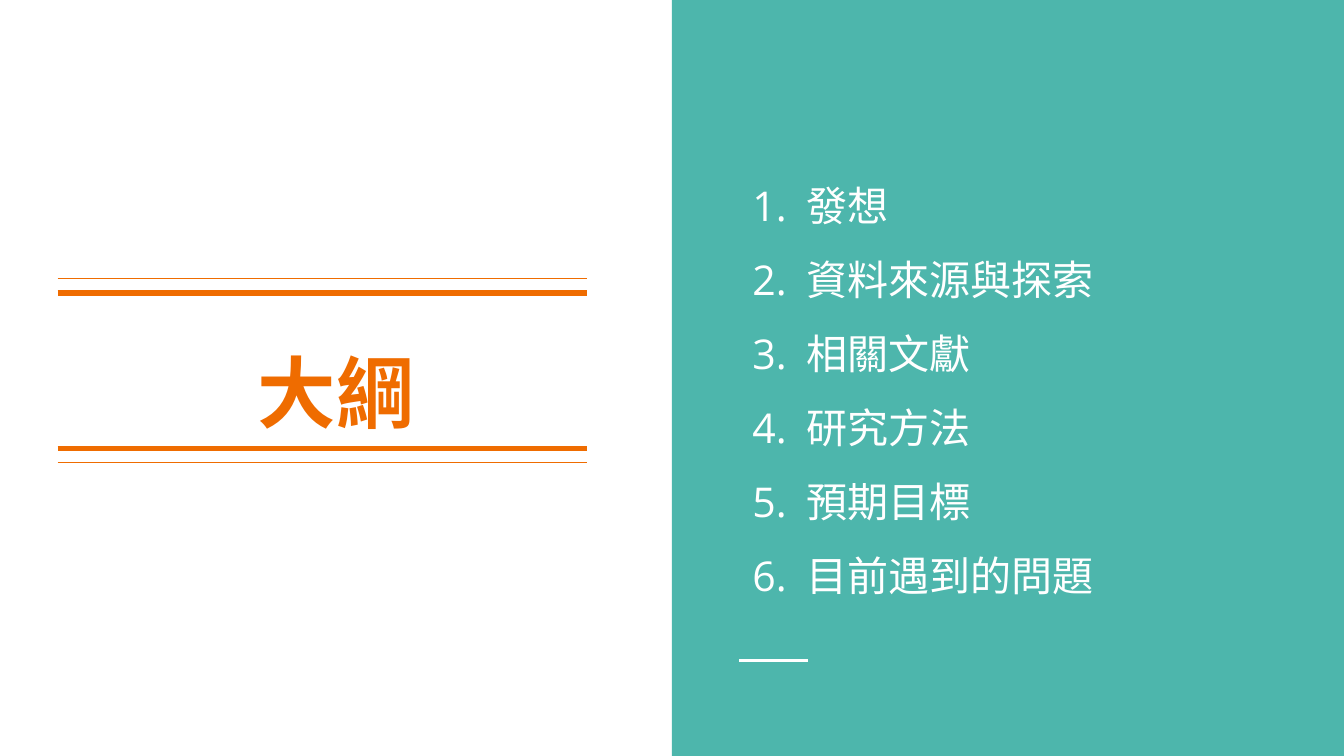
from lxml import etree
from pptx import Presentation
from pptx import util as u
from pptx.dml.color import RGBColor
from pptx.enum import shapes, text
from pptx.oxml.ns import qn

WHITE, TEAL, ORANGE = "FFFFFF", "4DB6AC", "EF6C00"
TOPICS = ["發想", "資料來源與探索", "相關文獻", "研究方法", "預期目標", "目前遇到的問題"]


def colour(value):
    return RGBColor.from_string(value)


def add_rule(slide, left, top, width, line_colour, weight):
    rule = slide.shapes.add_connector(
        shapes.MSO_CONNECTOR.STRAIGHT,
        u.Cm(left), u.Cm(top), u.Cm(left + width), u.Cm(top))
    rule.line.color.rgb = colour(line_colour)
    rule.line.width = u.Pt(weight)
    etree.SubElement(rule._element.spPr, qn("a:effectLst"))


def add_text(slide, box, lines, frame_format, font_format, font_colour):
    """Add a text box with one paragraph per line; return its paragraphs."""
    frame = slide.shapes.add_textbox(*map(u.Cm, box)).text_frame
    margins = dict.fromkeys(
        ("margin_left", "margin_top", "margin_right", "margin_bottom"), u.Cm(0.25))
    for name, value in {"word_wrap": True, **margins, **frame_format}.items():
        setattr(frame, name, value)
    frame.text = "\n".join(lines)
    for paragraph in frame.paragraphs:
        font = paragraph.runs[0].font
        for name, value in font_format.items():
            setattr(font, name, value)
        font.color.rgb = colour(font_colour)
        # East Asian text uses the same typeface
        etree.SubElement(font._element, qn("a:ea"), typeface=font_format["name"])
    return frame.paragraphs


def number_paragraph(paragraph):
    properties = paragraph._p.get_or_add_pPr()
    properties.set("marL", str(u.Cm(1.27)))
    properties.set("indent", str(-u.Cm(1.02)))
    bullet_colour = etree.SubElement(properties, qn("a:buClr"))
    etree.SubElement(bullet_colour, qn("a:srgbClr"), val=WHITE)
    etree.SubElement(properties, qn("a:buFont"), typeface="Open Sans")
    etree.SubElement(properties, qn("a:buAutoNum"), type="arabicPeriod")


def add_title_region(slide, left, top, width, height):
    # Title, raised by the bottom margin to sit between the rules
    paragraphs = add_text(
        slide, (left + 0.74, top + 5.38, width - 1.47, 4.65), ["大綱"],
        {"vertical_anchor": text.MSO_ANCHOR.BOTTOM, "margin_bottom": u.Cm(1.98)},
        {"name": "Roboto Condensed", "size": u.Pt(42), "bold": True}, ORANGE)
    paragraphs[0].alignment = text.PP_ALIGN.CENTER

    # Thick rules inside, thin rules outside
    middle = top + height / 2 - 0.14
    for offset, weight in ((1.47, 3), (1.74, 0.75)):
        for side in (-1, 1):
            add_rule(slide, left + 1.09, middle + side * offset,
                     width - 2.69, ORANGE, weight)


def add_topics_region(slide, left, top, width, height):
    # Panel
    panel = slide.shapes.add_shape(
        shapes.MSO_SHAPE.RECTANGLE, *map(u.Cm, (left, top, width, height)))
    panel.shadow.inherit = False
    panel.fill.solid()
    panel.fill.fore_color.rgb = colour(TEAL)
    panel.line.fill.background()

    # Short accent rule
    add_rule(slide, left + 1.27, top + 12.49, 1.3, WHITE, 1.5)

    # Numbered topics
    paragraphs = add_text(
        slide, (left + 1.02, top + 2.01, width - 2.03, 10.26), TOPICS,
        {"vertical_anchor": text.MSO_ANCHOR.MIDDLE},
        {"name": "Open Sans", "size": u.Pt(22)}, WHITE)
    for paragraph in paragraphs:
        paragraph.line_spacing = 1.5
        number_paragraph(paragraph)


def main():
    width, height = 25.4, 14.29
    presentation = Presentation()
    presentation.slide_width = u.Cm(width)
    presentation.slide_height = u.Cm(height)
    slide = presentation.slides.add_slide(presentation.slide_layouts[6])
    slide.background.fill.solid()
    slide.background.fill.fore_color.rgb = colour(WHITE)

    half = width / 2
    add_title_region(slide, 0, 0, half, height)
    add_topics_region(slide, half, 0, half, height)
    presentation.save("out.pptx")


if __name__ == "__main__":
    main()
